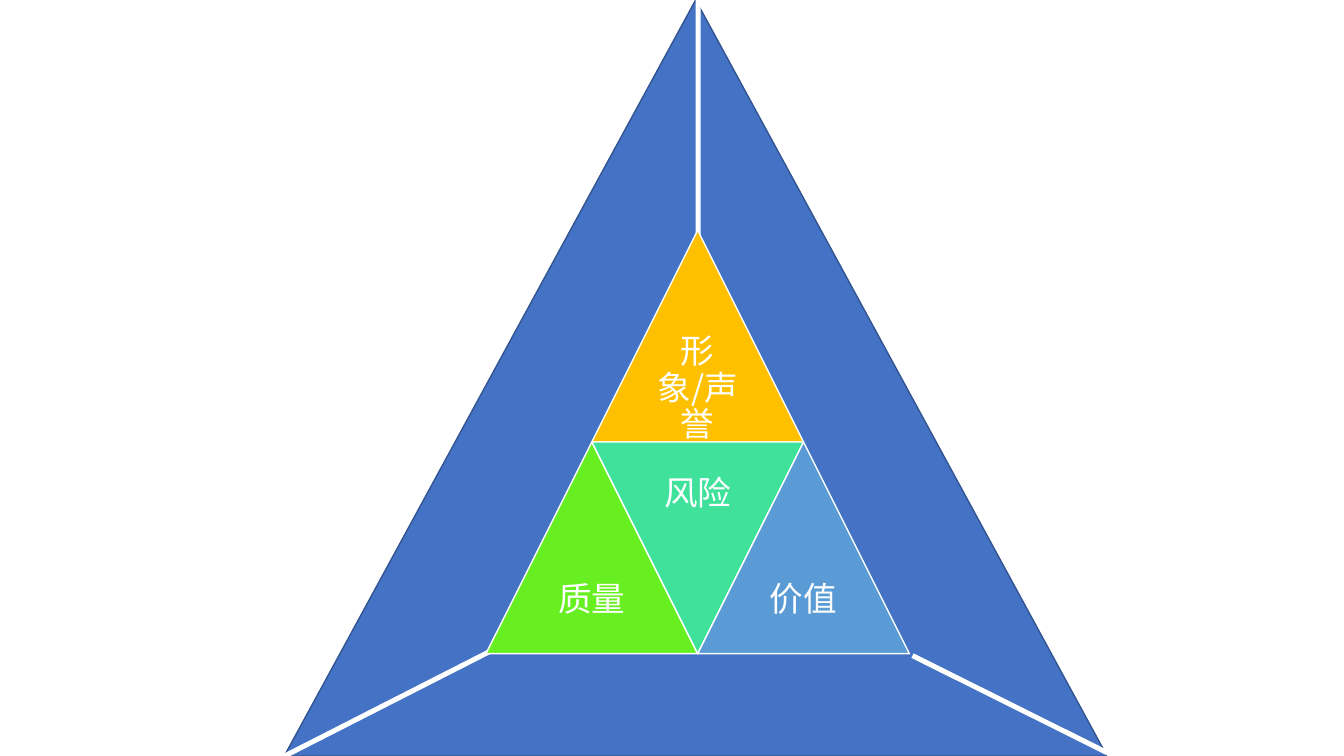
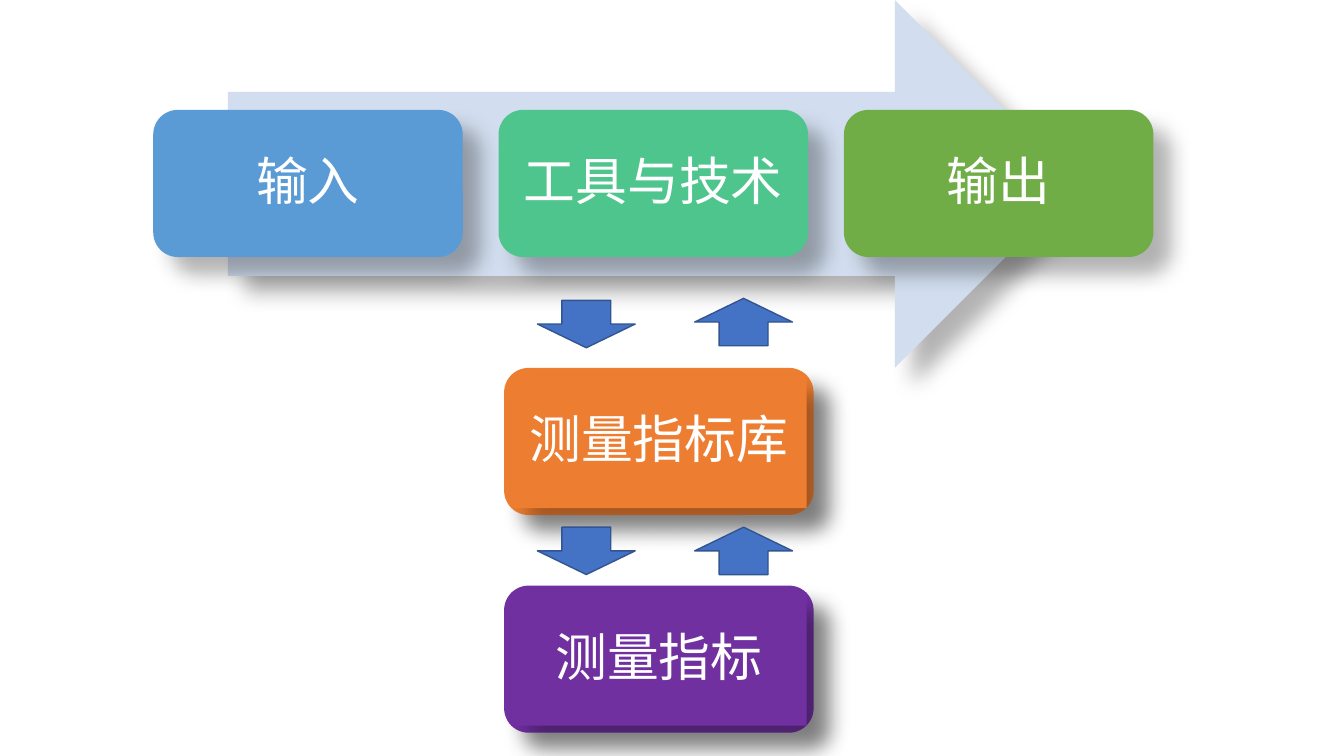
from lxml import etree
from pptx import Presentation
from pptx.dml.color import RGBColor
from pptx.enum.shapes import MSO_SHAPE as SHAPE
from pptx.enum.text import MSO_ANCHOR as ANCHOR, PP_ALIGN as ALIGN
from pptx.oxml.ns import qn
from pptx.util import Inches, Pt

COLORS = {
    "white": "FFFFFF", "blue": "4472C4", "edge": "325491", "sky": "5B9BD5",
    "gold": "FFC000", "lime": "67EF21", "mint": "3FE19B", "band": "D2DEEF",
    "teal": "4DC58D", "green": "70AD47", "orange": "ED7D31",
    "purple": "7030A0", "black": "000000",
}
FONT = "Noto Sans CJK SC"


def color(name):
    return RGBColor.from_string(COLORS[name])


def set_attrs(obj, values):
    for name, value in values.items():
        setattr(obj, name, value)


# Shared drawing helpers
def add_shadow(sp):
    effects = sp._element.spPr.find(qn("a:effectLst"))
    shadow = etree.SubElement(effects, qn("a:outerShdw"), blurRad=str(Pt(15)),
                              dist=str(Pt(18)), dir="2700000",
                              algn="ctr", rotWithShape="0")
    clr = etree.SubElement(shadow, qn("a:srgbClr"), val=COLORS["black"])
    etree.SubElement(clr, qn("a:alpha"), val="30000")


def add_block(s, kind, box, fill, line=None, rotation=0, shadow=False):
    sp = s.shapes.add_shape(kind, *map(Inches, box))
    sp.rotation = rotation
    sp.fill.solid()
    sp.fill.fore_color.rgb = color(fill)
    if line:
        sp.line.color.rgb = color(line)
        sp.line.width = Pt(1)
    else:
        sp.line.fill.background()
    sp.shadow.inherit = False
    if shadow:
        add_shadow(sp)
    return sp


def write_label(sp, text, size, inset):
    tf = sp.text_frame
    margins = {f"margin_{side}": Inches(inset)
               for side in ("left", "top", "right", "bottom")}
    set_attrs(tf, {"word_wrap": True, "vertical_anchor": ANCHOR.MIDDLE, **margins})
    p = tf.paragraphs[0]
    set_attrs(p, {"alignment": ALIGN.CENTER, "line_spacing": 0.9})
    r = p.add_run()
    r.text = text
    set_attrs(r.font, {"size": Pt(size), "name": FONT})
    r.font.color.rgb = color("white")
    etree.SubElement(r._r.get_or_add_rPr(), qn("a:ea"), typeface=FONT)


# Slide 1: outer triangle, dividers and four inner triangles
def add_inner_triangles(s, left, top, side):
    half = side / 2
    tiles = [  # column in half sides, row, pointing down, fill, label
        (1, 0, False, "gold", "形象/声誉"),
        (0, 1, False, "lime", "质量"),
        (1, 1, True, "mint", "风险"),
        (2, 1, False, "sky", "价值"),
    ]
    for col, row, down, fill, text in tiles:
        x, y = left + col * half, top + row * side
        add_block(s, SHAPE.ISOSCELES_TRIANGLE, (x, y, side, side), fill,
                  "white", 180 if down else 0)
        label_box = (x + half / 2, y if down else y + half, half, half)
        label = s.shapes.add_textbox(*map(Inches, label_box))
        write_label(label, text, 24, 0.1)


def build_triangle_slide(s):
    add_block(s, SHAPE.ISOSCELES_TRIANGLE, (2.82, 0, 8.16, 7.5), "blue", "edge")
    for x, y, angle in [(6.9, -0.21, 0), (10.18, 5.79, 296.5), (3.78, 5.71, 63)]:
        add_block(s, SHAPE.RECTANGLE, (x, y, 0.05, 2.58), "white", rotation=angle)
    add_inner_triangles(s, 4.82, 2.285, 2.1)


# Slide 2: process arrow, cards and exchange arrows
def add_card(s, left, top, fill, text, raised=False):
    width, height, pad = 3.07, 1.46, 0.07
    add_block(s, SHAPE.ROUNDED_RECTANGLE, (left, top, width, height), fill,
              shadow=True)
    inner = (left + pad, top + pad, width - 2 * pad, height - 2 * pad)
    if raised:
        label = add_block(s, SHAPE.RECTANGLE, inner, fill, shadow=True)
    else:
        label = s.shapes.add_textbox(*map(Inches, inner))
    write_label(label, text, 37, 0.15)


def add_exchange(s, down_top, up_top):
    for x, y, angle in [(5.58, down_top, 90), (7.14, up_top, 270)]:
        add_block(s, SHAPE.RIGHT_ARROW, (x, y, 0.47, 0.97), "blue", "edge", angle)


def build_process_slide(s):
    add_block(s, SHAPE.RIGHT_ARROW, (2.26, 0, 8.44, 3.65), "band", shadow=True)
    steps = [("sky", "输入"), ("teal", "工具与技术"), ("green", "输出")]
    for i, (fill, text) in enumerate(steps):
        add_card(s, 1.52 + i * 3.425, 1.09, fill, text)
    add_card(s, 5, 3.65, "orange", "测量指标库", raised=True)
    add_card(s, 5, 5.81, "purple", "测量指标", raised=True)
    add_exchange(s, 2.73, 2.71)
    add_exchange(s, 4.98, 4.98)


prs = Presentation()
set_attrs(prs, {"slide_width": Inches(13.33), "slide_height": Inches(7.5)})
for build in (build_triangle_slide, build_process_slide):
    build(prs.slides.add_slide(prs.slide_layouts[6]))
prs.save("out.pptx")
